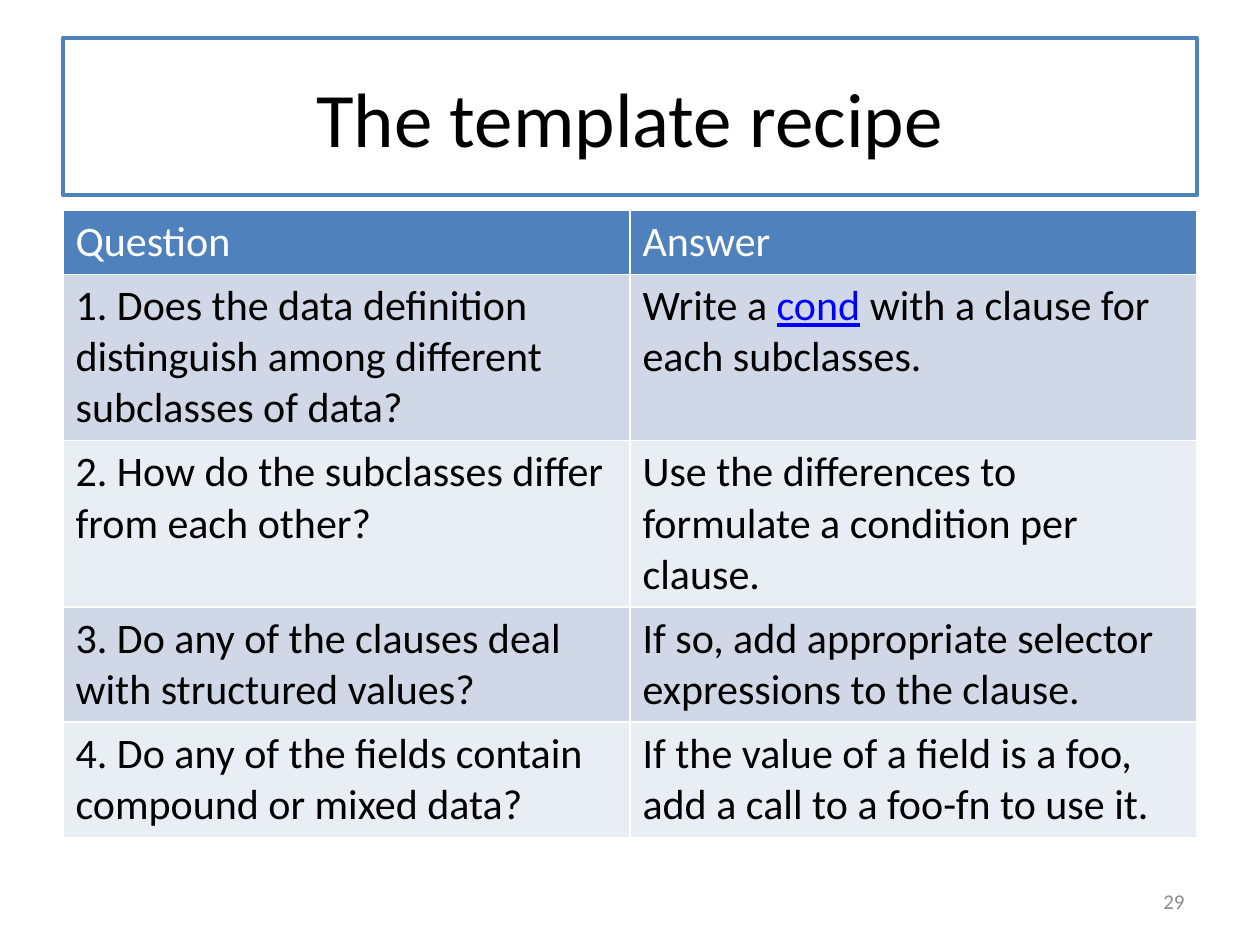
from pptx import Presentation
from pptx import util as u
from pptx.dml import color
from pptx.enum import text

HUES = {"blue": "4F81BD", "odd": "D0D8E8", "even": "E9EDF4", "link": "0000FF",
        "white": "FFFFFF", "black": "000000", "gray": "8C8C8C"}


def hue(name):
    return color.RGBColor.from_string(HUES[name])


def write(para, words, size=24, tint="black", line=False, align=None):
    run = para.add_run()
    run.text = words
    font = run.font
    font.name, font.size, font.bold = "Calibri", u.Pt(size), False
    font.color.rgb = hue(tint)
    font.underline = line
    if align is not None:
        para.alignment = align


deck = Presentation()
deck.slide_width, deck.slide_height = u.Inches(10), u.Inches(7.5)
slide = deck.slides.add_slide(deck.slide_layouts[5])

# Title
title = slide.shapes.title
title.left, title.top = u.Inches(0.5), u.Inches(0.3)
title.width, title.height = u.Inches(9), u.Inches(1.25)
title.fill.solid()
title.fill.fore_color.rgb = hue("white")
title.line.color.rgb = hue("blue")
title.line.width = u.Pt(2.25)
title.text_frame.vertical_anchor = text.MSO_ANCHOR.MIDDLE
write(title.text_frame.paragraphs[0], "The template recipe", size=44,
      align=text.PP_ALIGN.CENTER)

# Questions and answers: row height, then the runs of each cell
rows = [
    (0.5, ["Question"], ["Answer"]),
    (1.32, ["1. Does the data definition distinguish among different subclasses of data?"],
     ["Write a ", "cond", " with a clause for each subclasses."]),
    (1.32, ["2. How do the subclasses differ from each other?"],
     ["Use the differences to formulate a condition per clause."]),
    (0.91, ["3. Do any of the clauses deal with structured values?"],
     ["If so, add appropriate selector expressions to the clause."]),
    (0.91, ["4. Do any of the fields contain compound or mixed data?"],
     ["If the value of a field is a foo, add a call to a foo-fn to use it."]),
]
high = sum(row[0] for row in rows)
table = slide.shapes.add_table(len(rows), 2, u.Inches(0.5), u.Inches(1.67),
                               u.Inches(9), u.Inches(high)).table
for r, (tall, *cells) in enumerate(rows):
    table.rows[r].height = u.Inches(tall)
    fill = "blue" if r == 0 else "odd" if r % 2 else "even"
    for c, runs in enumerate(cells):
        cell = table.cell(r, c)
        cell.fill.solid()
        cell.fill.fore_color.rgb = hue(fill)
        for words in runs:
            link = words == "cond"
            tint = "white" if r == 0 else "link" if link else "black"
            write(cell.text_frame.paragraphs[0], words, tint=tint, line=link)

# Slide number
box = slide.shapes.add_textbox(u.Inches(7.17), u.Inches(6.95),
                               u.Inches(2.33), u.Inches(0.4))
box.text_frame.word_wrap = True
box.text_frame.vertical_anchor = text.MSO_ANCHOR.MIDDLE
write(box.text_frame.paragraphs[0], "29", size=12, tint="gray",
      align=text.PP_ALIGN.RIGHT)

deck.save("out.pptx")
